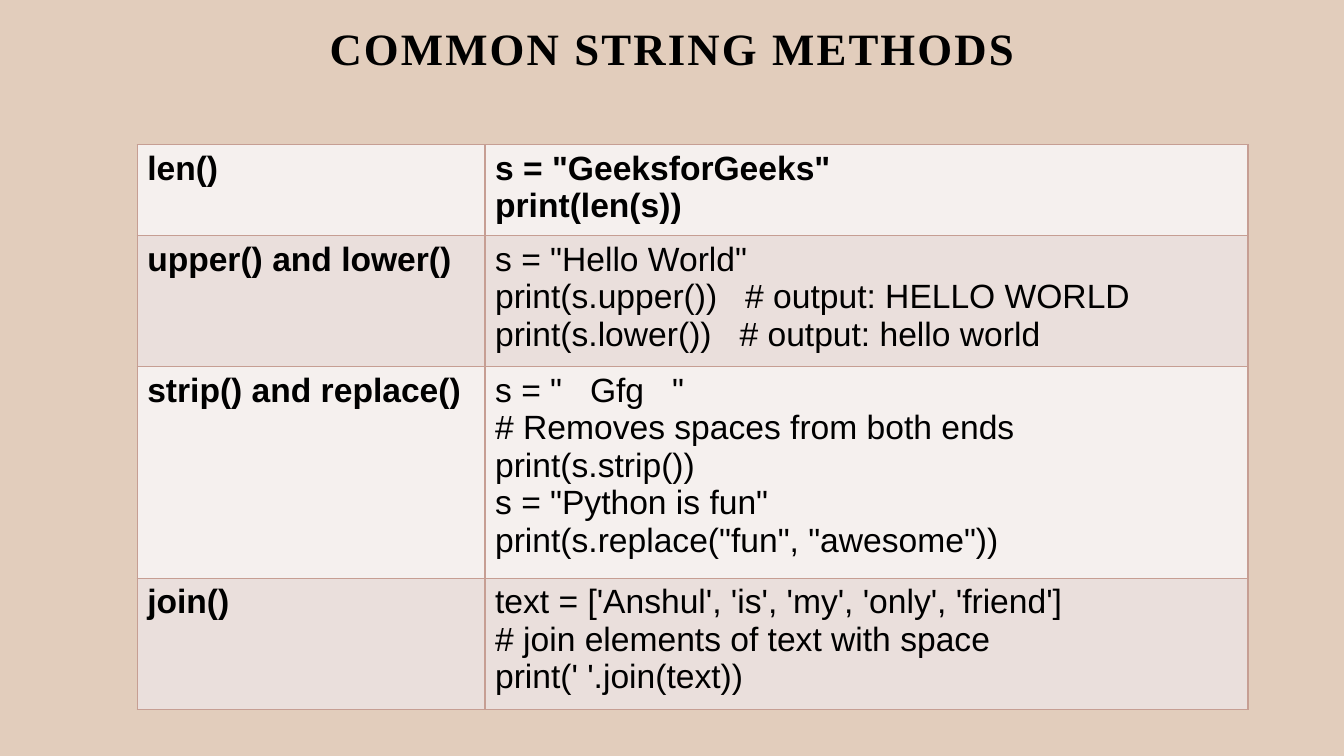
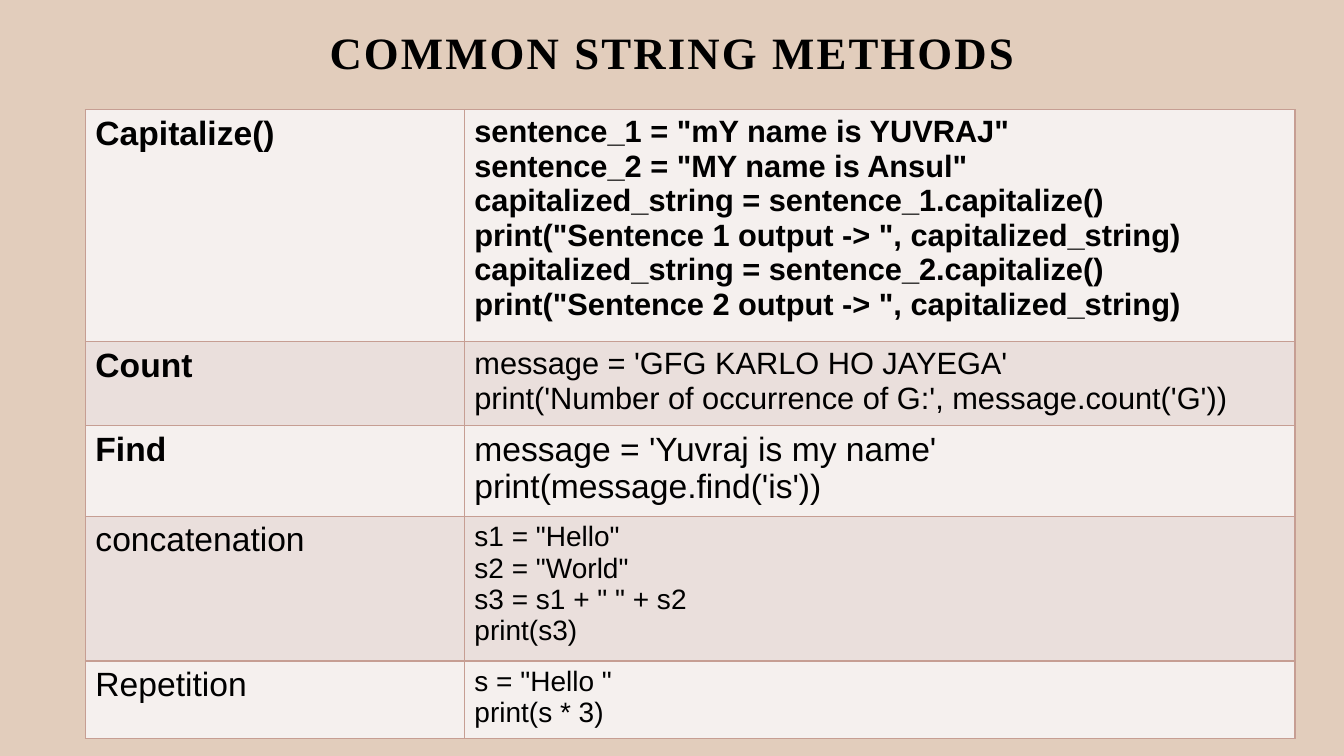
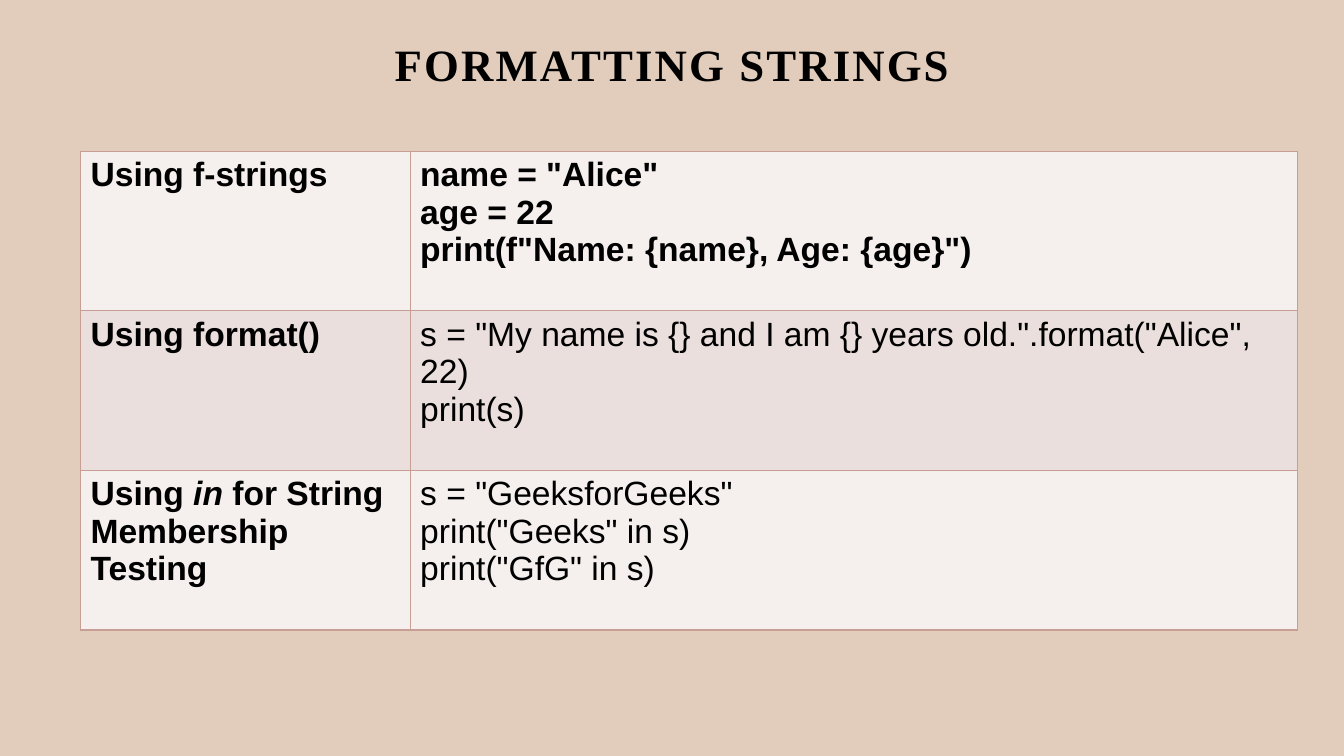
from itertools import cycle

from lxml.etree import SubElement
from pptx import Presentation
from pptx.dml.color import RGBColor
from pptx.enum.text import MSO_ANCHOR, PP_ALIGN
from pptx.oxml import parse_xml
from pptx.oxml.ns import nsdecls, qn
from pptx.util import Pt

BACKGROUND = RGBColor(0xE2, 0xCD, 0xBC)
LIGHT_BAND = RGBColor(0xF5, 0xF0, 0xEE)
DARK_BAND = RGBColor(0xEA, 0xDF, 0xDC)
BORDER = RGBColor(0xC6, 0x9E, 0x93)
BLACK = RGBColor(0, 0, 0)

TITLE_FONT = "Times New Roman"
BODY_FONT = "Arial"
LABEL_SIZE = 24
LINE_FACTOR = 1.11
CELL_PADDING = 7.2

# Each row: label, label is bold, code size, code. Asterisks in a label mark italics.
BASIC_METHODS = [
    ("len()", True, 24, '''s = "GeeksforGeeks"
print(len(s))'''),
    ("upper() and lower()", True, 24, '''s = "Hello World"
print(s.upper())   # output: HELLO WORLD
print(s.lower())   # output: hello world'''),
    ("strip() and replace()", True, 24, '''s = "   Gfg   "
# Removes spaces from both ends
print(s.strip())
s = "Python is fun"
print(s.replace("fun", "awesome"))'''),
    ("join()", True, 24, '''text = ['Anshul', 'is', 'my', 'only', 'friend']
# join elements of text with space
print(' '.join(text))'''),
]
MORE_METHODS = [
    ("Capitalize()", True, 22, '''sentence_1 = "mY name is YUVRAJ"
sentence_2 = "MY name is Ansul"
capitalized_string = sentence_1.capitalize()
print("Sentence 1 output -> ", capitalized_string)
capitalized_string = sentence_2.capitalize()
print("Sentence 2 output -> ", capitalized_string)'''),
    ("Count", True, 22, '''message = 'GFG KARLO HO JAYEGA'
print('Number of occurrence of G:', message.count('G'))'''),
    ("Find", True, 24, '''message = 'Yuvraj is my name'
print(message.find('is'))'''),
    ("concatenation", False, 20, '''s1 = "Hello"
s2 = "World"
s3 = s1 + " " + s2
print(s3)'''),
    ("Repetition", False, 20, '''s = "Hello "
print(s * 3)'''),
]
FORMATTING = [
    ("Using f-strings", True, 24, '''name = "Alice"
age = 22
print(f"Name: {name}, Age: {age}")'''),
    ("Using format()", True, 24,
     '''s = "My name is {} and I am {} years old.".format("Alice", 22)
print(s)'''),
    ("Using *in* for String Membership Testing", True, 24, '''s = "GeeksforGeeks"
print("Geeks" in s)
print("GfG" in s)'''),
]


def style_span(span, font_name, size, bold):
    span.font.name = font_name
    span.font.size = Pt(size)
    span.font.bold = bold
    span.font.color.rgb = BLACK


def add_page(deck, title, title_height):
    page = deck.slides.add_slide(deck.slide_layouts[6])
    page.background.fill.solid()
    page.background.fill.fore_color.rgb = BACKGROUND

    box = page.shapes.add_textbox(Pt(68), Pt(0), Pt(824), Pt(title_height))
    frame = box.text_frame
    frame.word_wrap = True
    frame.vertical_anchor = MSO_ANCHOR.MIDDLE
    frame.text = title
    para = frame.paragraphs[0]
    para.alignment = PP_ALIGN.CENTER
    para.line_spacing = 0.9
    span = para.runs[0]
    style_span(span, TITLE_FONT, 32, True)
    span.font._element.set("spc", "150")
    return page


def paint_cell(cell, color):
    """Fill a cell and draw its four borders, which must come before the fill."""
    cell.fill.solid()
    cell.fill.fore_color.rgb = color
    properties = cell._tc.get_or_add_tcPr()
    for index, side in enumerate(("lnL", "lnR", "lnT", "lnB")):
        line = parse_xml(f'<a:{side} {nsdecls("a")} w="{Pt(1)}"/>')
        fill = SubElement(line, qn("a:solidFill"))
        SubElement(fill, qn("a:srgbClr"), val=str(BORDER))
        properties.insert(index, line)


def write_label(cell, label, bold):
    para = cell.text_frame.paragraphs[0]
    for index, part in enumerate(label.split("*")):
        span = para.add_run()
        span.text = part
        style_span(span, BODY_FONT, LABEL_SIZE, bold)
        if index % 2:
            span.font.italic = True


def write_code(cell, code, size, bold):
    cell.text_frame.text = code
    for para in cell.text_frame.paragraphs:
        for span in para.runs:
            style_span(span, BODY_FONT, size, bold)


def text_height(code, size):
    lines = code.count("\n") + 1
    return round(lines * size * LINE_FACTOR + CELL_PADDING, 1)


def add_code_table(page, rows, left, top, widths, row_height=None):
    """Add a label and code table; rows fit their code unless row_height is given."""
    heights = [row_height or text_height(code, size) for _, _, size, code in rows]
    frame = page.shapes.add_table(len(rows), 2, Pt(left), Pt(top),
                                  Pt(sum(widths)), Pt(sum(heights)))
    table = frame.table
    table.first_row = False
    table.horz_banding = False
    for column, width in zip(table.columns, widths):
        column.width = Pt(width)
    bands = cycle((LIGHT_BAND, DARK_BAND))
    for index, (label, bold, size, code) in enumerate(rows):
        table.rows[index].height = Pt(heights[index])
        label_cell, code_cell = table.rows[index].cells
        write_label(label_cell, label, bold)
        write_code(code_cell, code, size, bold=index == 0)
        band = next(bands)
        paint_cell(label_cell, band)
        paint_cell(code_cell, band)


def main():
    deck = Presentation()
    deck.slide_width = Pt(960)
    deck.slide_height = Pt(540)

    page = add_page(deck, "COMMON STRING METHODS", 73.5)
    add_code_table(page, BASIC_METHODS, 98, 103.5, (248.5, 545))

    page = add_page(deck, "COMMON STRING METHODS", 78.5)
    add_code_table(page, MORE_METHODS, 61, 78.5, (270.7, 593.3))

    page = add_page(deck, "FORMATTING STRINGS", 95)
    add_code_table(page, FORMATTING, 57.5, 108, (235.5, 633.6), row_height=114)

    deck.save("out.pptx")


if __name__ == "__main__":
    main()
